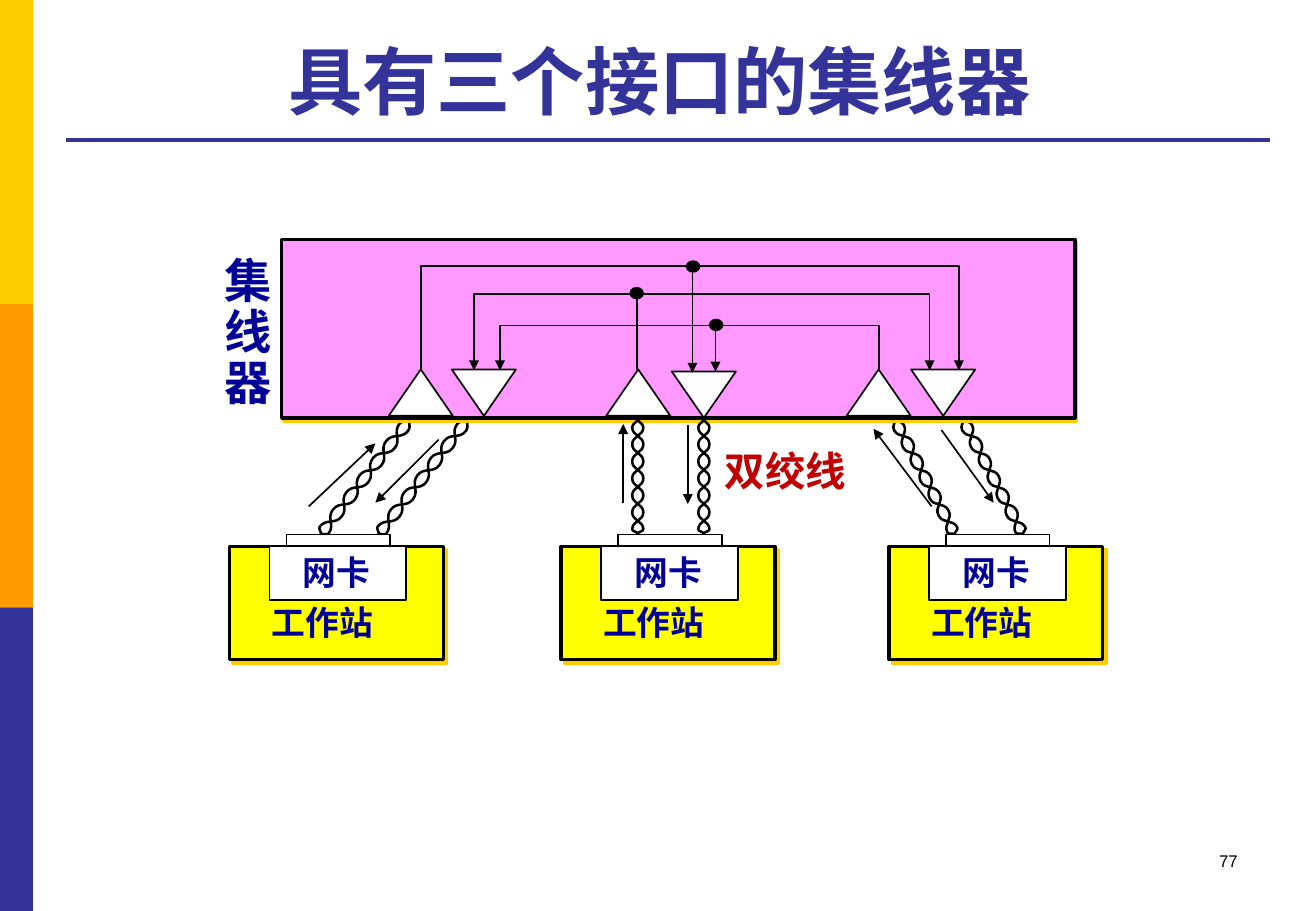
from dataclasses import dataclass
from math import hypot

from lxml import etree
from pptx import Presentation
from pptx.dml.color import RGBColor
from pptx.enum.shapes import MSO_CONNECTOR, MSO_SHAPE
from pptx.enum.text import MSO_ANCHOR, PP_ALIGN
from pptx.oxml.ns import qn
from pptx.util import Pt

RECT, OVAL, TRI = MSO_SHAPE.RECTANGLE, MSO_SHAPE.OVAL, MSO_SHAPE.ISOSCELES_TRIANGLE
LINE = MSO_CONNECTOR.STRAIGHT
LEFT, MID, RIGHT = PP_ALIGN.LEFT, PP_ALIGN.CENTER, PP_ALIGN.RIGHT
TOP, CENTER, BOTTOM = MSO_ANCHOR.TOP, MSO_ANCHOR.MIDDLE, MSO_ANCHOR.BOTTOM


@dataclass(frozen=True)
class Theme:
    font: str = "Arial"
    gold: str = "FFCC00"
    amber: str = "FF9900"
    indigo: str = "333399"
    navy: str = "000099"
    red: str = "C00000"
    pink: str = "FF99FF"
    yellow: str = "FFFF00"
    white: str = "FFFFFF"
    black: str = "000000"
    title: int = 44
    hub: int = 28
    cable: int = 24
    label: int = 20
    number: int = 10
    thin: float = 1
    cord: float = 1.5
    thick: float = 2
    rule: float = 2.25


T = Theme()


def rgb(code):
    return RGBColor.from_string(code)


def ink(line, color, width, arrow=False):
    line.color.rgb = rgb(color)
    line.width = Pt(width)
    if arrow:
        tail = etree.SubElement(line._get_or_add_ln(), qn("a:tailEnd"))
        tail.set("type", "triangle")


def box(slide, kind, x, y, w, h, fill, width=T.thin):
    item = slide.shapes.add_shape(kind, Pt(x), Pt(y), Pt(w), Pt(h))
    item.shadow.inherit = False
    item.fill.solid()
    item.fill.fore_color.rgb = rgb(fill)
    if width:
        ink(item.line, T.black, width)
    else:
        item.line.fill.background()
    return item


def shade(item, dist, angle):
    effects = item._element.spPr.find(qn("a:effectLst"))
    drop = etree.SubElement(effects, qn("a:outerShdw"), blurRad="0",
                            dist=str(Pt(dist)), dir=str(angle * 60000),
                            algn="ctr", rotWithShape="0")
    etree.SubElement(drop, qn("a:srgbClr"), val=T.gold)


def text(slide, x, y, w, h, lines, size, color, bold=True,
         align=MID, anchor=CENTER, space=1.0):
    frame = slide.shapes.add_textbox(Pt(x), Pt(y), Pt(w), Pt(h)).text_frame
    frame.margin_left = frame.margin_right = 0
    frame.margin_top = frame.margin_bottom = 0
    frame.word_wrap = True
    frame.vertical_anchor = anchor
    frame.text = lines
    for para in frame.paragraphs:
        para.alignment = align
        para.line_spacing = space
        font = para.font
        font.name, font.size, font.bold = T.font, Pt(size), bold
        font.color.rgb = rgb(color)


def line(slide, x1, y1, x2, y2, color=T.black, width=T.thin, arrow=True):
    item = slide.shapes.add_connector(LINE, Pt(x1), Pt(y1), Pt(x2), Pt(y2))
    ink(item.line, color, width, arrow)
    etree.SubElement(item._element.spPr, qn("a:effectLst"))


def wire(slide, points, width=T.thin, arrow=False):
    spots = [(Pt(x), Pt(y)) for x, y in points]
    pen = slide.shapes.build_freeform(*spots[0])
    pen.add_line_segments(spots[1:], close=False)
    item = pen.convert_to_shape()
    item.shadow.inherit = False
    item.fill.background()
    ink(item.line, T.black, width, arrow)
    return item


def curve(item):
    legs = list(item._element.iter(qn("a:lnTo")))
    for i in range(0, len(legs), 3):
        bend = etree.Element(qn("a:cubicBezTo"))
        legs[i].addprevious(bend)
        for leg in legs[i:i + 3]:
            bend.append(leg[0])
            leg.getparent().remove(leg)


def twist(slide, x1, y1, x2, y2, swing=3.3):
    dx, dy = x2 - x1, y2 - y1
    span = hypot(dx, dy)
    peaks = [(0.04 + 0.147 * i, (-1) ** i) for i in range(7)]
    knots = [(0, 0), *peaks, (1, 0)]
    for side in (swing, -swing):
        path = [knots[0]]
        for (t, a), (u, b) in zip(knots, knots[1:]):
            half = (t + u) / 2
            path += [(half, a), (half, b), (u, b)]
        points = [(x1 + dx * t - dy / span * side * a,
                   y1 + dy * t + dx / span * side * a) for t, a in path]
        curve(wire(slide, points, T.cord))


def station(slide, x):
    y = 324
    shade(box(slide, RECT, x, y, 126.7, 67, T.yellow, T.thick), 2.8, 45)
    box(slide, RECT, x + 23.7, y, 81, 31.7, T.white)
    text(slide, x + 36, y, 55, 30, "网卡", T.label, T.navy)
    text(slide, x + 20, y + 30, 70, 30, "工作站", T.label, T.navy)
    box(slide, RECT, x + 33.7, y - 7.2, 61.5, 6.5, T.white)


def frame(slide):
    for i, color in enumerate((T.gold, T.amber, T.indigo)):
        box(slide, RECT, 0, 180 * i, 19.5, 180, color, 0)
    line(slide, 39, 82.8, 753, 82.8, T.indigo, T.rule, False)
    text(slide, 39, 15, 704, 59, "具有三个接口的集线器", T.title, T.indigo,
         anchor=BOTTOM)
    text(slide, 566, 504, 167.7, 20, "77", T.number, T.black, False, RIGHT, TOP)


def hub(slide):
    shade(box(slide, RECT, 167, 141.8, 470.2, 106, T.pink, T.thick), 2.2, 63)
    text(slide, 133.2, 152.6, 34, 91, "集\n线\n器", T.hub, T.navy,
         align=LEFT, space=0.9)
    for x in (230.4, 359.3, 501.8):
        box(slide, TRI, x, 219, 38, 27.5, T.white)
    for x, y in ((267.8, 219), (398.2, 220.2), (540, 219)):
        box(slide, TRI, x, y, 38, 27.5, T.white).rotation = 180
    foot = 219.6
    for points in (
        ((521.2, foot), (521.2, 193), (296.4, 193), (296.4, foot)),
        ((377.7, foot), (377.7, 174.2), (551, 174.2), (551, foot)),
        ((377.7, 174.2), (280.9, 174.2), (280.9, foot)),
        ((249.5, foot), (249.5, 157.7), (568.3, 157.7), (568.3, foot)),
    ):
        wire(slide, points, arrow=True)
    line(slide, 424.1, 193, 424.1, foot + 0.7)
    line(slide, 410.4, 157.7, 410.4, foot + 1.4)
    for x, y in ((377.4, 173.8), (410.8, 158), (424.5, 192.6)):
        box(slide, OVAL, x - 3.8, y - 3.2, 7.6, 6.4, T.black)


def main():
    deck = Presentation()
    deck.slide_width, deck.slide_height = Pt(780), Pt(540)
    slide = deck.slides.add_slide(deck.slide_layouts[6])
    frame(slide)
    for x, end in ((190, 243.5), (224.3, 277.8), (566, 530), (606.4, 570.4)):
        twist(slide, x, 317, end, 248)
    hub(slide)
    for x in (136.1, 332.6, 527):
        station(slide, x)
    for ends in (
        (369.4, 298, 369.4, 251.4), (407.7, 252, 407.7, 298.8),
        (183, 300.2, 222.5, 262.8), (260, 260.6, 222.5, 298),
        (552.2, 300.2, 517.7, 254.2), (558, 254.9, 589, 298),
    ):
        line(slide, *ends)
    text(slide, 429.6, 262, 80, 34, "双绞线", T.cable, T.red, align=LEFT)
    for x in (378, 417.2):
        twist(slide, x, 316.5, x, 248)
    deck.save("out.pptx")


main()
